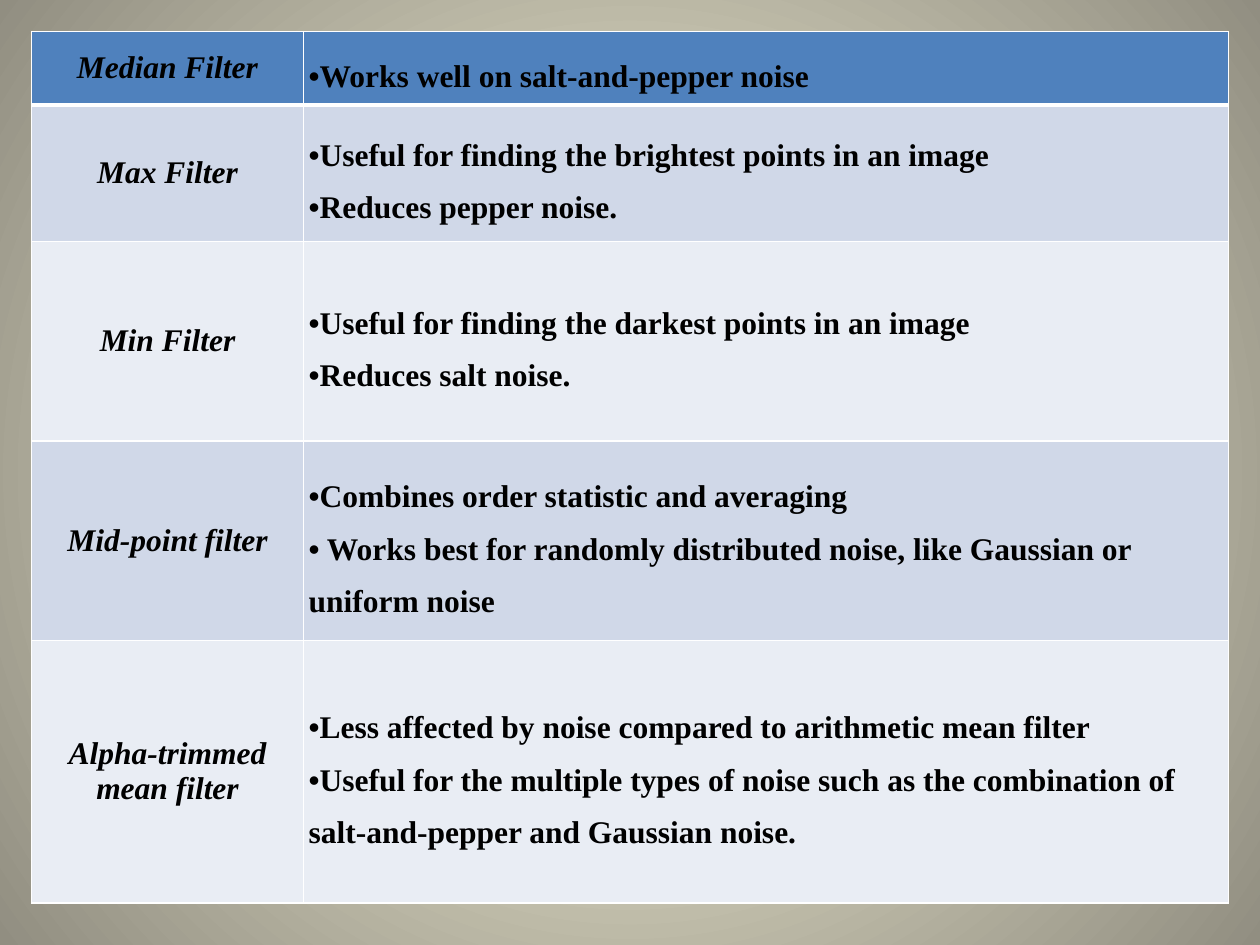
from lxml.etree import SubElement
from pptx import Presentation
from pptx.dml.color import RGBColor
from pptx.enum.text import MSO_ANCHOR, PP_ALIGN
from pptx.oxml.ns import qn
from pptx.util import Inches, Pt

# Content: filter, its properties, row height in twelfths of an inch
FILTERS = [
    ("Median Filter", ["•Works well on salt-and-pepper noise"], 7),
    ("Max Filter", ["•Useful for finding the brightest points in an image",
                    "•Reduces pepper noise."], 13),
    ("Min Filter", ["•Useful for finding the darkest points in an image",
                    "•Reduces salt noise."], 19),
    ("Mid-point filter", ["•Combines order statistic and averaging",
                          "• Works best for randomly distributed noise, "
                          "like Gaussian or uniform noise"], 19),
    ("Alpha-trimmed mean filter",
     ["•Less affected by noise compared to arithmetic mean filter",
      "•Useful for the multiple types of noise such as the combination of "
      "salt-and-pepper and Gaussian noise."], 25),
]
COLUMN_WIDTHS = [2.16, 7.34]
HEADER_FILL = "4F81BD"
BAND_FILLS = ["E9EDF4", "D0D8E8"]
BACKGROUND_STOPS = ["FCF7DD", "918E81"]


def rgb(value):
    return RGBColor.from_string(value)


def write(cell, text, italic=False, align=PP_ALIGN.LEFT, spacing=None):
    cell.vertical_anchor = MSO_ANCHOR.MIDDLE
    cell.margin_left = cell.margin_right = Inches(0.04)
    cell.margin_top = cell.margin_bottom = Inches(0.04)
    paragraph = cell.text_frame.paragraphs[0]
    paragraph.text = text
    paragraph.alignment = align
    paragraph.line_spacing = spacing
    for run in paragraph.runs:
        run.font.name = "Times New Roman"
        run.font.size = Pt(18)
        run.font.bold = True
        run.font.italic = italic
        run.font.color.rgb = rgb("000000")


def add_borders(cell, top=1, bottom=1, color="FFFFFF"):
    properties = cell._tc.get_or_add_tcPr()
    for side, width in (("L", 1), ("R", 1), ("T", top), ("B", bottom)):
        line = SubElement(properties, qn(f"a:ln{side}"), w=str(Pt(width)))
        fill = SubElement(line, qn("a:solidFill"))
        SubElement(fill, qn("a:srgbClr"), val=color)


def paint_background(slide):
    fill = slide.background.fill
    fill.gradient()
    for stop, color in zip(fill.gradient_stops, BACKGROUND_STOPS):
        stop.color.rgb = rgb(color)
    # Radial from the centre
    gradient = slide._element.find(".//" + qn("a:gradFill"))
    gradient.remove(gradient.find(qn("a:lin")))
    circle = SubElement(gradient, qn("a:path"), path="circle")
    SubElement(circle, qn("a:fillToRect"), l="50000", t="50000", r="50000", b="50000")


def add_filter_table(slide):
    heights = [Inches(twelfths / 12) for _, _, twelfths in FILTERS]
    table = slide.shapes.add_table(
        len(FILTERS), len(COLUMN_WIDTHS), Inches(0.25), Inches(0.25),
        Inches(sum(COLUMN_WIDTHS)), sum(heights)).table
    for column, width in zip(table.columns, COLUMN_WIDTHS):
        column.width = Inches(width)

    for index, (name, properties, _) in enumerate(FILTERS):
        table.rows[index].height = heights[index]
        name_cell, properties_cell = table.rows[index].cells
        write(name_cell, name, italic=True, align=PP_ALIGN.CENTER)
        write(properties_cell, "\n".join(properties), spacing=1.5)
        for cell in (name_cell, properties_cell):
            # Thick rule between the header row and the body
            add_borders(cell, top=3 if index == 1 else 1, bottom=3 if index == 0 else 1)
            cell.fill.solid()
            cell.fill.fore_color.rgb = rgb(BAND_FILLS[index % 2] if index else HEADER_FILL)


def main():
    presentation = Presentation()
    presentation.slide_width = Inches(10)
    presentation.slide_height = Inches(7.5)
    slide = presentation.slides.add_slide(presentation.slide_layouts[6])
    paint_background(slide)
    add_filter_table(slide)
    presentation.save("out.pptx")


if __name__ == "__main__":
    main()
